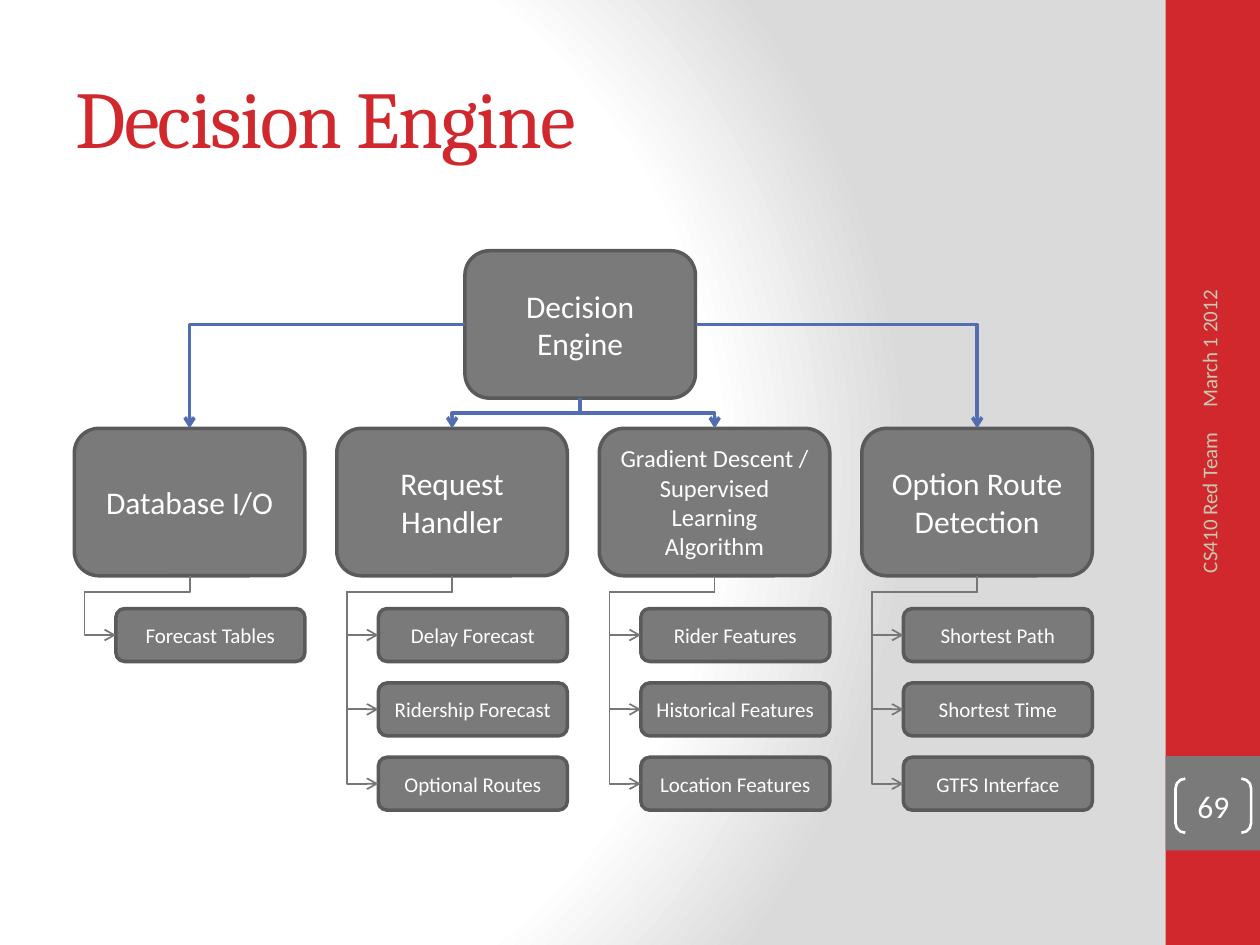
from lxml import etree
from pptx import Presentation
from pptx import util as u
from pptx.dml.color import RGBColor
from pptx.enum import shapes, text
from pptx.oxml import parse_xml
from pptx.oxml.ns import nsdecls, qn

RED = RGBColor(0xD1, 0x28, 0x2E)
GRAY = RGBColor(0x7A, 0x7A, 0x7A)
EDGE = RGBColor(0x5A, 0x5A, 0x5A)
BRANCH = RGBColor(0x77, 0x77, 0x77)
BLUE = RGBColor(0x52, 0x6D, 0xB0)
SAND = RGBColor(0xC8, 0xC8, 0xB1)
WHITE = RGBColor(0xFF, 0xFF, 0xFF)
TOP, LEFT, BOTTOM, RIGHT = range(4)

BACKGROUND = f"""<p:bg {nsdecls('p', 'a')}><p:bgPr><a:gradFill rotWithShape="1"><a:gsLst>
<a:gs pos="0"><a:srgbClr val="FFFFFF"/></a:gs><a:gs pos="75000"><a:srgbClr val="FFFFFF"/></a:gs>
<a:gs pos="100000"><a:srgbClr val="DADADA"/></a:gs></a:gsLst><a:path path="circle">
<a:fillToRect l="20000" t="50000" r="100000" b="50000"/></a:path></a:gradFill>
<a:effectLst/></p:bgPr></p:bg>"""

MODULES = [
    (["Database I/O"], 18, ["Forecast Tables"]),
    (["Request Handler"], 18, ["Delay Forecast", "Ridership Forecast", "Optional Routes"]),
    (["Gradient Descent / Supervised Learning", "Algorithm"], 14,
     ["Rider Features", "Historical Features", "Location Features"]),
    (["Option Route Detection"], 18, ["Shortest Path", "Shortest Time", "GTFS Interface"]),
]


class Deck:
    """Hold the style and the current slide, and draw each kind of element."""

    def __init__(self):
        self.prs = Presentation()
        self.prs.slide_width, self.prs.slide_height = u.Inches(10), u.Inches(7.5)
        self.s = self.prs.slides.add_slide(self.prs.slide_layouts[5])
        self.s.element.cSld.insert(0, parse_xml(BACKGROUND))

    def label(self, tf, lines, size, color, align, font="Calibri"):
        tf.word_wrap = True
        tf.auto_size = text.MSO_AUTO_SIZE.NONE
        tf.vertical_anchor = text.MSO_ANCHOR.MIDDLE
        p = tf.paragraphs[0]
        p.alignment = align
        for i, line in enumerate(lines):
            if i:
                p.add_line_break()
            r = p.add_run()
            r.text = line
            r.font.size, r.font.name = u.Pt(size), font
            r.font.color.rgb = color
        return r

    def title(self, words, *box):
        sp = self.s.shapes.title
        sp.left, sp.top, sp.width, sp.height = map(u.Inches, box)
        r = self.label(sp.text_frame, [words], 46, RED, text.PP_ALIGN.LEFT, "Cambria")
        r.font._element.set("spc", "-100")

    def side_text(self, words, align, *box):
        sp = self.s.shapes.add_textbox(*map(u.Inches, box))
        sp.rotation = 270
        self.label(sp.text_frame, [words], 12, SAND, align)

    def shape(self, kind, box, fill=None, line=None, weight=2):
        sp = self.s.shapes.add_shape(kind, *map(u.Inches, box))
        sp.shadow.inherit = False
        if fill is None:
            sp.fill.background()
        else:
            sp.fill.solid()
            sp.fill.fore_color.rgb = fill
        if line is None:
            sp.line.fill.background()
        else:
            sp.line.color.rgb = line
            sp.line.width = u.Pt(weight)
        return sp

    def node(self, lines, size, *box):
        sp = self.shape(shapes.MSO_SHAPE.ROUNDED_RECTANGLE, box, GRAY, EDGE)
        self.label(sp.text_frame, lines, size, WHITE, text.PP_ALIGN.CENTER)
        return sp

    def page_number(self, number, *box):
        sp = self.shape(shapes.MSO_SHAPE.DOUBLE_BRACKET, box, line=WHITE, weight=1.5)
        sp.adjustments[0] = 0.18
        tf = sp.text_frame
        tf.margin_left = tf.margin_top = tf.margin_right = tf.margin_bottom = 0
        self.label(tf, [number], 18, WHITE, text.PP_ALIGN.CENTER)

    def elbow(self, start, start_site, end, end_site, preset, color, weight):
        c = self.s.shapes.add_connector(shapes.MSO_CONNECTOR.ELBOW, 0, 0, 0, 0)
        c.begin_connect(start, start_site)
        c.end_connect(end, end_site)
        c.line.color.rgb = color
        c.line.width = u.Pt(weight)
        sp_pr = c.element.spPr
        etree.SubElement(sp_pr.find(qn("a:ln")), qn("a:tailEnd"), type="arrow")
        etree.SubElement(sp_pr, qn("a:effectLst"))
        sp_pr.find(qn("a:prstGeom")).set("prst", preset)
        return c

    def drop(self, start, end, end_site, preset, color, weight):
        """Draw an elbow that leaves the bottom of one node for another."""
        c = self.elbow(start, BOTTOM, end, end_site, preset, color, weight)
        to_right = c.end_x > c.begin_x
        across, down = c.width, c.height
        c.left, c.top = c.left + (across - down) // 2, c.top + (down - across) // 2
        c.width, c.height = down, across
        xfrm = c.element.spPr.find(qn("a:xfrm"))
        xfrm.set("rot", str((270 if to_right else 90) * 60000))
        xfrm.set("flipH", "1" if to_right else "0")
        return c

    def branch(self, start, end):
        c = self.drop(start, end, LEFT, "bentConnector4", BRANCH, 1)
        guides = c.element.spPr.find(qn("a:prstGeom")).find(qn("a:avLst"))
        ratios = u.Inches(0.13) / c.width, 1 + u.Inches(0.25) / c.height
        for i, ratio in enumerate(ratios, 1):
            etree.SubElement(guides, qn("a:gd"), name=f"adj{i}",
                             fmla=f"val {round(ratio * 100000)}")


def main():
    d = Deck()
    for top, height, color in ((0, 7.5, RED), (6, 0.75, GRAY)):
        d.shape(shapes.MSO_SHAPE.RECTANGLE, (9.25, top, 0.75, height), color)
    d.title("Decision Engine", 0.5, 0.3, 8.33, 1.25)
    d.side_text("March 1 2012", text.PP_ALIGN.LEFT, 8.26, 1.8, 2.67, 0.4)
    d.side_text("CS410 Red Team", text.PP_ALIGN.RIGHT, 8.3, 4.43, 2.59, 0.4)
    d.page_number("69", 9.33, 6.18, 0.6, 0.43)

    engine = d.node(["Decision Engine"], 18, 3.69, 1.99, 1.83, 1.17)
    modules = []
    for col, (lines, size, parts) in enumerate(MODULES):
        x = 0.59 + col * 6.25 / 3
        module = d.node(lines, size, x, 3.4, 1.83, 1.17)
        modules.append(module)
        for row, part in enumerate(parts):
            d.branch(module, d.node([part], 12, x + 0.33, 4.83 + row * 0.59, 1.5, 0.42))

    for site, module in ((LEFT, modules[0]), (RIGHT, modules[3])):
        d.elbow(engine, site, module, TOP, "bentConnector2", BLUE, 2)
    for module in modules[1:3]:
        d.drop(engine, module, TOP, "bentConnector3", BLUE, 2)
    d.prs.save("out.pptx")


if __name__ == "__main__":
    main()
